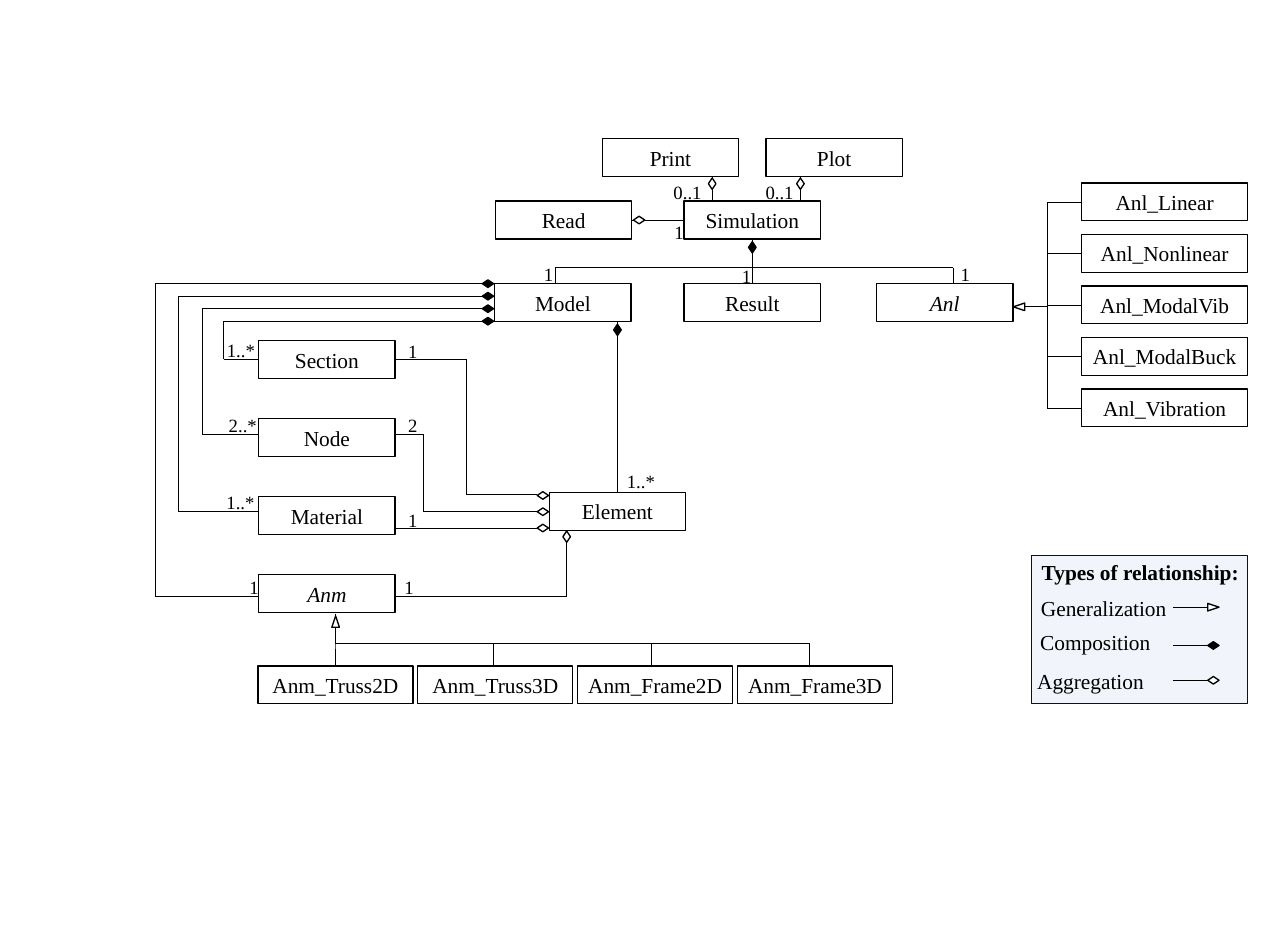
import itertools
import pptx
import pptx.dml.color
import pptx.enum.shapes
import pptx.enum.text
import pptx.util
from pptx.util import Cm
import lxml.etree

SHAPES = pptx.enum.shapes.MSO_SHAPE
ALIGN = pptx.enum.text.PP_ALIGN
TOP, LEFT, BOTTOM, RIGHT = range(4)
BLACK, WHITE = "000000", "FFFFFF"
DRAWING = "{http://schemas.openxmlformats.org/drawingml/2006/main}"


def paint(fill, color):
    fill.solid()
    fill.fore_color.rgb = pptx.dml.color.RGBColor.from_string(color)


def write_text(shape, text, size=16, bold=False, italic=False, align=ALIGN.CENTER):
    frame = shape.text_frame
    frame.word_wrap = True
    frame.margin_left = frame.margin_right = frame.margin_top = frame.margin_bottom = 0
    frame.vertical_anchor = pptx.enum.text.MSO_ANCHOR.MIDDLE
    paragraph = frame.paragraphs[0]
    paragraph.alignment = align
    run = paragraph.add_run()
    run.text = text
    run.font.name = "Times New Roman"
    run.font.size = pptx.util.Pt(size)
    run.font.bold = bold
    run.font.italic = italic
    paint(run.font.fill, BLACK)


presentation = pptx.Presentation()
presentation.slide_width = Cm(34)
presentation.slide_height = Cm(25)
slide = presentation.slides.add_slide(presentation.slide_layouts[6])

legend = slide.shapes.add_shape(SHAPES.RECTANGLE, Cm(27.23), Cm(14.66), Cm(5.71), Cm(3.91))
legend.shadow.inherit = False
paint(legend.fill, "DAE3F3")
paint(legend.line.fill, "000099")
legend.line.width = pptx.util.Pt(1)
legend_color = legend.fill._xPr.find(f"{DRAWING}solidFill/{DRAWING}srgbClr")
lxml.etree.SubElement(legend_color, f"{DRAWING}alpha", val="36000")

class_boxes = [
    ("Print", 15.9, 3.66, 3.6),
    ("Plot", 20.22, 3.66, 3.6),
    ("Read", 13.08, 5.31, 3.6),
    ("Simulation", 18.06, 5.31, 3.6),
    ("Model", 13.06, 7.49, 3.6),
    ("Result", 18.06, 7.49, 3.6),
    ("Anl", 23.14, 7.49, 3.6),
    ("Element", 14.5, 13, 3.6),
]
analyses = ["Anl_Linear", "Anl_Nonlinear", "Anl_ModalVib", "Anl_ModalBuck", "Anl_Vibration"]
models = ["Anm_Truss2D", "Anm_Truss3D", "Anm_Frame2D", "Anm_Frame3D"]
for index, name in enumerate(["Section", "Node", "Material", "Anm"]):
    class_boxes.append((name, 6.83, 8.99 + 2.06 * index, 3.6))
for index, name in enumerate(analyses):
    class_boxes.append((name, 28.55, 4.83 + 1.36 * index, 4.39))
for index, name in enumerate(models):
    class_boxes.append((name, 6.81 + 4.22 * index, 17.58, 4.09))

boxes = {}
for name, left, top, width in class_boxes:
    box = slide.shapes.add_shape(SHAPES.RECTANGLE, Cm(left), Cm(top), Cm(width), Cm(1))
    box.shadow.inherit = False
    paint(box.fill, WHITE)
    paint(box.line.fill, BLACK)
    box.line.width = pptx.util.Pt(1)
    write_text(box, name, italic=name in ("Anl", "Anm"))
    boxes[name] = box

routes = [
    ([(14.66, 7.49), (14.66, 7.07), (25.17, 7.07), (25.17, 7.49)], None, None),
    ([(19.86, 7.49), (19.86, 6.31)], ("Result", TOP), ("Simulation", BOTTOM)),
    ([(16.68, 5.81), (18.06, 5.81)], ("Read", RIGHT), ("Simulation", LEFT)),
    ([(18.8, 5.31), (18.8, 4.66)], None, None),
    ([(21.13, 5.31), (21.13, 4.66)], None, None),
    ([(27.64, 5.33), (27.64, 10.77)], None, None),
    ([(27.05, 8.08), (27.64, 8.08)], None, None),
    ([(6.83, 9.49), (5.9, 9.49), (5.9, 8.48), (13.06, 8.48)], ("Section", LEFT), None),
    ([(6.83, 11.46), (5.33, 11.46), (5.33, 8.15), (13.06, 8.15)], None, None),
    ([(6.83, 13.51), (4.7, 13.51), (4.7, 7.82), (13.06, 7.82)], None, None),
    ([(6.83, 15.74), (4.09, 15.74), (4.09, 7.49), (13.06, 7.49)], None, None),
    ([(16.3, 13), (16.3, 8.49)], ("Element", TOP), None),
    ([(10.43, 9.49), (12.32, 9.49), (12.32, 13.06), (14.17, 13.06)], ("Section", RIGHT), None),
    ([(10.43, 11.46), (11.18, 11.46), (11.18, 13.51), (14.17, 13.51)], None, None),
    ([(10.43, 13.94), (14.17, 13.94)], None, None),
    ([(10.43, 15.74), (14.96, 15.74), (14.96, 14)], None, None),
    ([(8.86, 16.2), (8.86, 16.99), (21.37, 16.99)], None, None),
]
for index, name in enumerate(analyses):
    y = 5.33 + 1.36 * index
    routes.append(([(27.64, y), (28.55, y)], None, (name, LEFT)))
for index, name in enumerate(models):
    x = 8.86 + 4.17 * index
    routes.append(([(x, 16.99), (x, 17.58)], None, (name, TOP) if index == 0 else None))
for y in (16.03, 17.04, 17.96):
    routes.append(([(30.96, y), (31.88, y)], None, None))

for points, start_joint, end_joint in routes:
    connectors = []
    for (x1, y1), (x2, y2) in itertools.pairwise(points):
        connector = slide.shapes.add_connector(
            pptx.enum.shapes.MSO_CONNECTOR.STRAIGHT, Cm(x1), Cm(y1), Cm(x2), Cm(y2))
        paint(connector.line.fill, BLACK)
        connector.line.width = pptx.util.Pt(0.5)
        lxml.etree.SubElement(connector._element.spPr, f"{DRAWING}effectLst")
        connectors.append(connector)
    if start_joint:
        connectors[0].begin_connect(boxes[start_joint[0]], start_joint[1])
    if end_joint:
        connectors[-1].end_connect(boxes[end_joint[0]], end_joint[1])

markers = [
    (SHAPES.DIAMOND, 16.3, 8.71, 0, BLACK),
    (SHAPES.DIAMOND, 19.86, 6.53, 0, BLACK),
    (SHAPES.DIAMOND, 18.8, 4.85, 0, WHITE),
    (SHAPES.DIAMOND, 21.13, 4.85, 0, WHITE),
    (SHAPES.DIAMOND, 16.87, 5.81, 90, WHITE),
    (SHAPES.DIAMOND, 14.96, 14.17, 0, WHITE),
    (SHAPES.ISOSCELES_TRIANGLE, 26.9, 8.1, 270, WHITE),
    (SHAPES.ISOSCELES_TRIANGLE, 8.86, 16.41, 0, WHITE),
    (SHAPES.ISOSCELES_TRIANGLE, 32.03, 16.03, 90, WHITE),
    (SHAPES.DIAMOND, 32.03, 17.04, 90, BLACK),
    (SHAPES.DIAMOND, 32.03, 17.96, 90, WHITE),
]
for index in range(4):
    markers.append((SHAPES.DIAMOND, 12.88, 7.49 + 0.33 * index, 90, BLACK))
for index in range(3):
    markers.append((SHAPES.DIAMOND, 14.33, 13.08 + 0.43 * index, 90, WHITE))
for kind, x, y, rotation, color in markers:
    marker = slide.shapes.add_shape(kind, Cm(x - 0.1), Cm(y - 0.15), Cm(0.2), Cm(0.3))
    marker.shadow.inherit = False
    marker.rotation = rotation
    paint(marker.fill, color)
    paint(marker.line.fill, BLACK)
    marker.line.width = pptx.util.Pt(1)

multiplicities = [
    ("0..1", 18.15, 5.08), ("0..1", 20.58, 5.08), ("1", 17.93, 6.12),
    ("1", 14.48, 7.24), ("1", 19.71, 7.29), ("1", 25.48, 7.24),
    ("1..*", 6.36, 9.25), ("2..*", 6.41, 11.23), ("1..*", 6.35, 13.26), ("1", 6.71, 15.49),
    ("1", 10.9, 9.27), ("2", 10.9, 11.23), ("1", 10.9, 13.72), ("1", 10.8, 15.49),
    ("1..*", 16.92, 12.7),
]
for text, x, y in multiplicities:
    label = slide.shapes.add_textbox(Cm(x - 0.75), Cm(y - 0.43), Cm(1.5), Cm(0.86))
    write_text(label, text, size=14)

legend_labels = [
    ("Types of relationship:", 27.5, 15.1, 5.4, True),
    ("Generalization", 27.48, 16.04, 3.5, False),
    ("Composition", 27.46, 16.95, 3.5, False),
    ("Aggregation", 27.38, 17.97, 3.5, False),
]
for text, left, y, width, bold in legend_labels:
    label = slide.shapes.add_textbox(Cm(left), Cm(y - 0.47), Cm(width), Cm(0.94))
    write_text(label, text, bold=bold, align=ALIGN.LEFT)

presentation.save("out.pptx")
